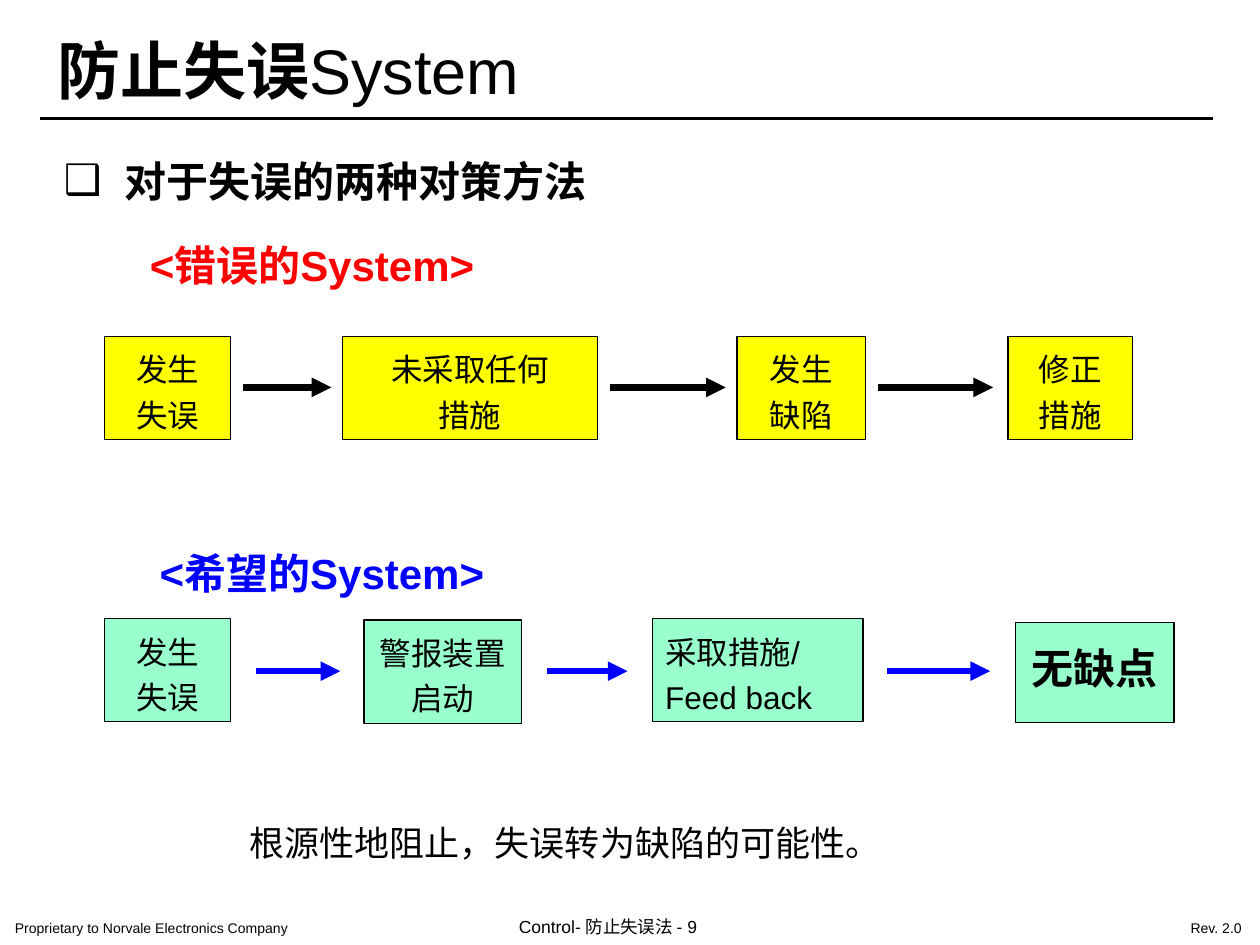
"""Build the slide comparing two systems for handling mistakes."""
from lxml.etree import SubElement
from pptx import Presentation
from pptx.dml.color import RGBColor
from pptx.enum.shapes import MSO_CONNECTOR as Connector, MSO_SHAPE as Shape
from pptx.enum.text import MSO_ANCHOR as Anchor, PP_ALIGN as Align
from pptx.oxml.ns import qn
from pptx.util import Cm, Pt


def color(value):
    return RGBColor.from_string(value)


def write(shape, text, size, ink="000000", bold=False, align=Align.LEFT,
          spacing=1, anchor=Anchor.TOP, insets=(0.25, 0.13, 0.25, 0.13)):
    text_frame = shape.text_frame
    text_frame.word_wrap = True
    text_frame.vertical_anchor = anchor
    (text_frame.margin_left, text_frame.margin_top,
     text_frame.margin_right, text_frame.margin_bottom) = map(Cm, insets)
    text_frame.text = text
    for paragraph in text_frame.paragraphs:
        paragraph.alignment = align
        paragraph.line_spacing = spacing
        for run in paragraph.runs:
            run.font.name = "Arial"
            run.font.size = Pt(size)
            run.font.bold = bold
            run.font.color.rgb = color(ink)


presentation = Presentation()
presentation.slide_width = Cm(25.4)
presentation.slide_height = Cm(19.05)
slide = presentation.slides.add_slide(presentation.slide_layouts[6])
shapes = slide.shapes

footers = [
    (0, 18.39, 8.15, 0.64, "Proprietary to Norvale Electronics Company", 8),
    (10.16, 18.31, 5.82, 0.74, "Control- 防止失误法 - 9", 10),
    (23.7, 18.39, 1.68, 0.64, "Rev. 2.0", 8),
]
for left, top, width, height, text, size in footers:
    footer = shapes.add_textbox(Cm(left), Cm(top), Cm(width), Cm(height))
    write(footer, text, size, insets=(0.3, 0.15, 0, 0.15))

title = shapes.add_textbox(Cm(0.91), Cm(0.51), Cm(13.16), Cm(1.78))
write(title, "防止失误", 36, bold=True, anchor=Anchor.MIDDLE)
system_run = title.text_frame.paragraphs[0].add_run()
system_run.text = "System"
system_run.font.name = "Arial"
system_run.font.size = Pt(36)
system_run.font.bold = False
system_run.font.color.rgb = color("000000")

heading = shapes.add_textbox(Cm(1.04), Cm(3), Cm(11.5), Cm(1.27))
write(heading, "对于失误的两种对策方法", 24, bold=True)
properties = heading.text_frame.paragraphs[0]._p.get_or_add_pPr()
properties.set("marL", str(Cm(1.22)))
properties.set("indent", str(-Cm(1.22)))
SubElement(properties, qn("a:buFont")).set("typeface", "Arial")
SubElement(properties, qn("a:buChar")).set("char", "❑")

captions = [
    (2.77, 4.7, 7.7, 1.27, "<错误的System>", 24, "FF0000", True),
    (2.97, 10.9, 7.7, 1.27, "<希望的System>", 24, "0000FF", True),
    (4.78, 16.43, 13.44, 1.12, "根源性地阻止，失误转为缺陷的可能性。", 20, "000000", False),
]
for left, top, width, height, text, size, ink, bold in captions:
    caption = shapes.add_textbox(Cm(left), Cm(top), Cm(width), Cm(height))
    write(caption, text, size, ink, bold)

normal = {"size": 18, "align": Align.CENTER, "spacing": 1.2}
left_aligned = {"size": 18, "spacing": 1.2}
result = {"size": 24, "bold": True, "align": Align.CENTER, "spacing": 0.8,
          "anchor": Anchor.MIDDLE}
flows = [
    ("FFFF00", "000000", 7.81,
     [(2.11, 6.78, 2.54, 2.08, "发生\n失误", normal),
      (6.91, 6.78, 5.13, 2.08, "未采取任何\n措施", normal),
      (14.86, 6.78, 2.59, 2.08, "发生\n缺陷", normal),
      (20.32, 6.78, 2.51, 2.08, "修正\n措施", normal)],
     [(4.9, 6.68), (12.29, 14.63), (17.7, 20.02)]),
    ("99FFCC", "0000FF", 13.53,
     [(2.11, 12.47, 2.54, 2.08, "发生\n失误", normal),
      (7.34, 12.5, 3.18, 2.08, "警报装置启动", normal),
      (13.16, 12.47, 4.24, 2.08, "采取措施/ Feed back", left_aligned),
      (20.47, 12.55, 3.2, 2.01, "无缺点", result)],
     [(5.16, 6.86), (11.02, 12.65), (17.88, 19.96)]),
]
lines = [(0.81, 24.46, 2.39, "000000", 1.5, False)]
for fill, arrow_color, arrow_y, steps, arrows in flows:
    for left, top, width, height, text, style in steps:
        step = shapes.add_shape(Shape.RECTANGLE, Cm(left), Cm(top), Cm(width), Cm(height))
        step.shadow.inherit = False
        step.fill.solid()
        step.fill.fore_color.rgb = color(fill)
        step.line.color.rgb = color("000000")
        step.line.width = Pt(0.75)
        write(step, text, **style)
    lines += [(start, end, arrow_y, arrow_color, 3.75, True) for start, end in arrows]

for start, end, y, ink, weight, has_arrowhead in lines:
    line = shapes.add_connector(Connector.STRAIGHT, Cm(start), Cm(y), Cm(end), Cm(y))
    line.line.color.rgb = color(ink)
    line.line.width = Pt(weight)
    if has_arrowhead:
        SubElement(line.line._get_or_add_ln(), qn("a:tailEnd")).set("type", "triangle")
    SubElement(line._element.spPr, qn("a:effectLst"))

presentation.save("out.pptx")
